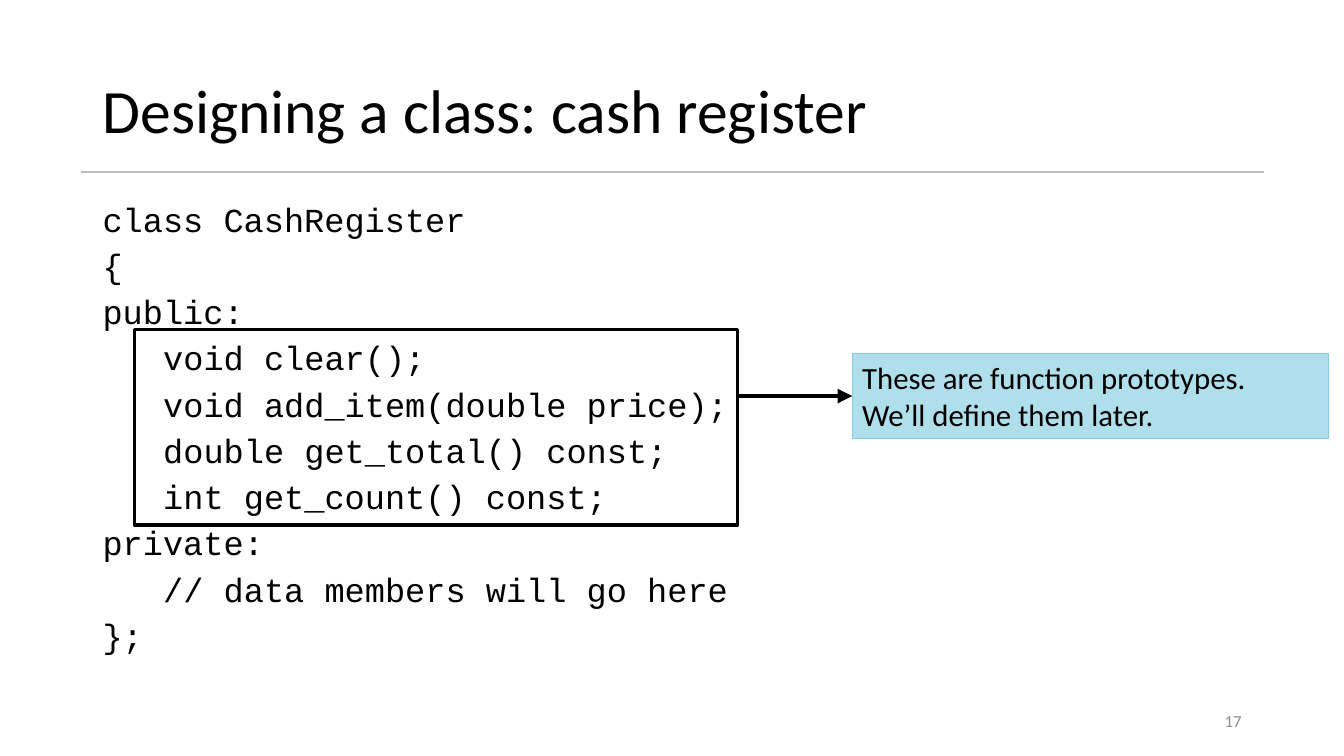
from lxml import etree
from pptx import Presentation
from pptx.dml.color import RGBColor
from pptx.enum.shapes import MSO_CONNECTOR, MSO_SHAPE
from pptx.enum.text import MSO_ANCHOR, MSO_AUTO_SIZE, PP_ALIGN
from pptx.oxml.ns import qn
from pptx.util import Cm, Pt

LEFT, RIGHT = PP_ALIGN.LEFT, PP_ALIGN.RIGHT
TOP, MIDDLE = MSO_ANCHOR.TOP, MSO_ANCHOR.MIDDLE
NO_FIT = MSO_AUTO_SIZE.NONE
STRAIGHT, RECT = MSO_CONNECTOR.STRAIGHT, MSO_SHAPE.RECTANGLE
BLACK = "000000"


def color(value):
    return RGBColor.from_string(value)


def write(s, lines, font, size, value=BLACK, anchor=MIDDLE, align=LEFT, spacing=1.0, before=0):
    tf = s.text_frame
    tf.word_wrap = True
    tf.auto_size = NO_FIT
    tf.vertical_anchor = anchor
    tf.text = "\n".join(lines)
    for p in tf.paragraphs:
        p.alignment = align
        p.line_spacing = spacing
        p.space_before = Pt(before)
        p.font.name = font
        p.font.size = Pt(size)
        p.font.color.rgb = color(value)
    return tf.paragraphs


prs = Presentation()
prs.slide_width, prs.slide_height = Cm(33.87), Cm(19.05)
slide = prs.slides.add_slide(prs.slide_layouts[1])
shapes = slide.shapes

# Title
title = shapes.title
title.left, title.top, title.width, title.height = Cm(2.33), Cm(1.01), Cm(29.21), Cm(3.68)
write(title, ["Designing a class: cash register"], "Calibri", 44, spacing=0.9)

# Class listing, members indented by three characters
code = [
    (0, "class CashRegister"),
    (0, "{"),
    (0, "public:"),
    (1, "void clear();"),
    (1, "void add_item(double price);"),
    (1, "double get_total() const;"),
    (1, "int get_count() const;"),
    (0, "private:"),
    (1, "// data members will go here"),
    (0, "};"),
]
body = slide.placeholders[1]
body.left, body.top, body.width, body.height = Cm(2.33), Cm(5.07), Cm(29.21), Cm(12.09)
paragraphs = write(body, [text for _, text in code], "Courier New", 24,
                   anchor=TOP, spacing=0.8, before=10)
for p, (depth, _) in zip(paragraphs, code):
    pPr = p._p.get_or_add_pPr()
    pPr.set("marL", str(depth * Cm(1.53)))
    pPr.set("indent", "0")
    bullet = etree.Element(qn("a:buNone"))
    pPr.insert_element_before(bullet, "a:tabLst", "a:defRPr", "a:extLst")

# Frame around the prototypes
frame = shapes.add_shape(RECT, Cm(3.39), Cm(8.3), Cm(15.2), Cm(4.93))
frame.shadow.inherit = False
frame.fill.background()
frame.line.color.rgb = color(BLACK)
frame.line.width = Pt(2.25)

# Callout
callout = shapes.add_shape(RECT, Cm(21.48), Cm(8.91), Cm(12), Cm(2.14))
callout.shadow.inherit = False
callout.fill.solid()
callout.fill.fore_color.rgb = color("AFDFEB")
callout.line.color.rgb = color("86CFE2")
callout.line.width = Pt(0.75)
write(callout, ["These are function prototypes.", "We’ll define them later."],
      "Calibri", 22, anchor=TOP)

# Title rule, and arrow from the frame to the callout
rule = shapes.add_connector(STRAIGHT, Cm(2.04), Cm(4.34), Cm(31.86), Cm(4.34))
arrow_y = callout.top + callout.height // 2
arrow = shapes.add_connector(STRAIGHT, frame.left + frame.width, arrow_y, callout.left, arrow_y)
arrow.end_connect(callout, 1)
for line, value, width in [(rule, "BFBFBF", 1.5), (arrow, BLACK, 3.5)]:
    line.line.color.rgb = color(value)
    line.line.width = Pt(width)
    etree.SubElement(line._element.spPr, qn("a:effectLst"))
etree.SubElement(arrow.line._get_or_add_ln(), qn("a:tailEnd"), type="triangle")

# Slide number
number = shapes.add_textbox(Cm(23.92), Cm(17.66), Cm(7.62), Cm(1.01))
write(number, ["17"], "Calibri", 12, "8C8C8C", align=RIGHT)

prs.save("out.pptx")
